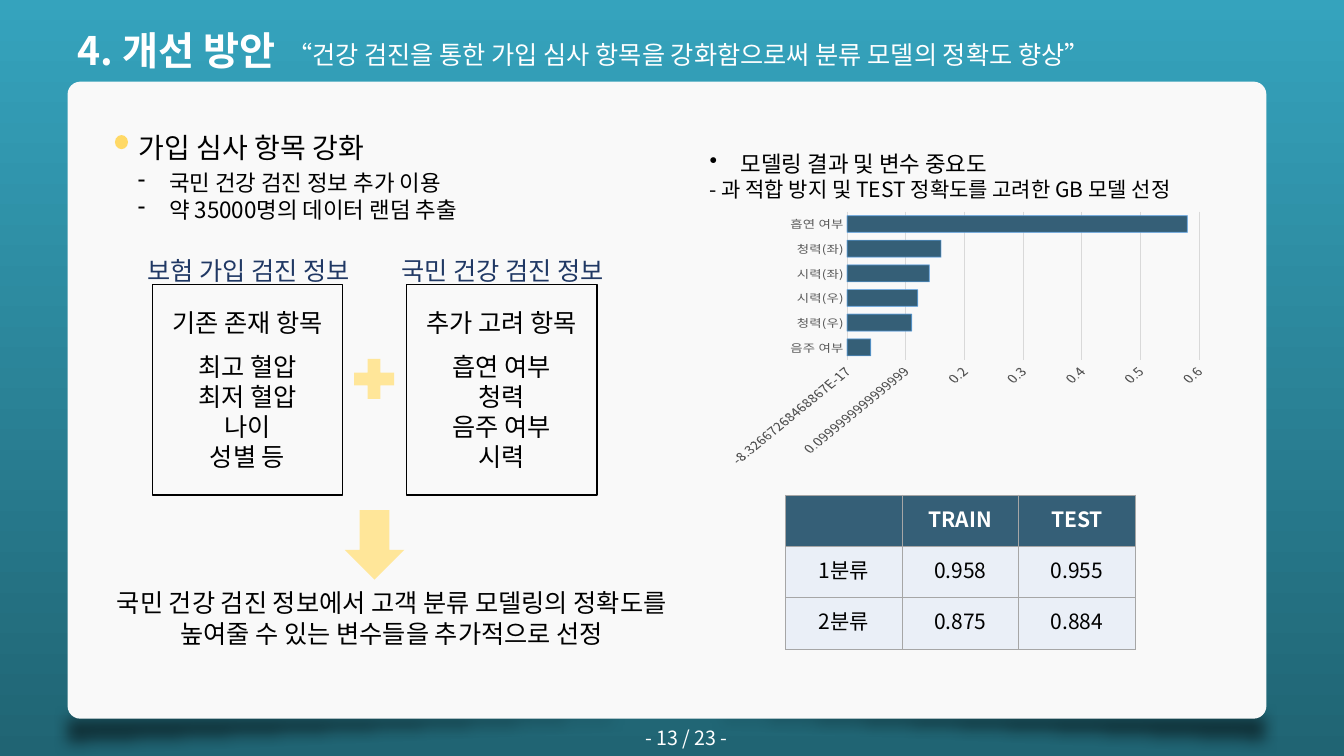
from dataclasses import dataclass
from lxml.etree import SubElement
from pptx import Presentation
from pptx.chart.data import CategoryChartData
from pptx.dml.color import RGBColor
from pptx.enum.chart import XL_CHART_TYPE, XL_TICK_MARK
from pptx.enum.shapes import MSO_SHAPE
from pptx.enum.text import MSO_ANCHOR, PP_ALIGN
from pptx.oxml import parse_xml
from pptx.oxml.ns import nsdecls, qn
from pptx.util import Inches, Pt

FONT = "Noto Sans CJK KR"
NAVY, YELLOW, GRID = "355F77", "FFE699", "D9D9D9"


@dataclass
class Label:
    at: tuple
    lines: list
    size: float = 18
    color: str = "000000"
    bold: bool = False
    center: bool = False
    pad: bool = True
    spacing: float = 1.2


@dataclass
class ItemBox:
    left: float
    caption: str
    heading: str
    items: list


LABELS = [
    Label((0.67, 0.21, 7.52, 0.57), ["4. 개선 방안"], 28, "FFFFFF", bold=True),
    Label((2.75, 0.34, 10.37, 0.4),
          ["“건강 검진을 통한 가입 심사 항목을 강화함으로써 분류 모델의 정확도 향상”"], color="FFFFFF"),
    Label((1.28, 1.08, 4.68, 0.57), ["가입 심사 항목 강화"], 20, spacing=1.8),
    Label((0.95, 5.78, 5.87, 0.71),
          ["국민 건강 검진 정보에서 고객 분류 모델링의 정확도를", "높여줄 수 있는 변수들을 추가적으로 선정"],
          center=True),
    Label((6.18, 7.2, 1.26, 0.24), ["- 13 / 23 -"], 14, "FFFFFF", center=True, pad=False),
]
BOXES = [
    ItemBox(1.51, "보험 가입 검진 정보", "기존 존재 항목", ["최고 혈압", "최저 혈압", "나이", "성별 등"]),
    ItemBox(4.03, "국민 건강 검진 정보", "추가 고려 항목", ["흡연 여부", "청력", "음주 여부", "시력"]),
]
IMPORTANCE = {"음주 여부": 0.04, "청력(우)": 0.11, "시력(우)": 0.12,
              "시력(좌)": 0.14, "청력(좌)": 0.16, "흡연 여부": 0.58}
ACCURACY = [["", "TRAIN", "TEST"], ["1분류", "0.958", "0.955"], ["2분류", "0.875", "0.884"]]


def rgb(color: str) -> RGBColor:
    return RGBColor.from_string(color)


def inches(at: tuple) -> list:
    return [Inches(v) for v in at]


def set_alpha(color_element, percent: int) -> None:
    SubElement(color_element, qn("a:alpha")).set("val", str(percent * 1000))


def write(tf, text: str, *, size=18, color="000000", bold=False, center=False,
          spacing=1.2, before=0, bullet="") -> None:
    """Add one paragraph, using the first one while it is empty."""
    p = tf.paragraphs[0] if not tf.text else tf.add_paragraph()
    p.alignment = PP_ALIGN.CENTER if center else PP_ALIGN.LEFT
    p.line_spacing = Pt(size * spacing)
    p.space_before = Pt(before)
    if bullet:
        pPr = p._p.get_or_add_pPr()
        pPr.set("marL", str(Inches(0.31)))
        pPr.set("indent", str(-Inches(0.31)))
        SubElement(pPr, qn("a:buChar")).set("char", bullet)
    r = p.add_run()
    r.text = text
    r.font.name, r.font.size, r.font.bold = FONT, Pt(size), bold
    r.font.color.rgb = rgb(color)
    SubElement(r._r.get_or_add_rPr(), qn("a:ea")).set("typeface", FONT)


def add_text(s, at: tuple, pad: bool = True):
    tf = s.shapes.add_textbox(*inches(at)).text_frame
    tf.word_wrap = True
    if not pad:
        tf.margin_left = tf.margin_right = tf.margin_top = tf.margin_bottom = 0
    return tf


def add_shape(s, kind, at: tuple, fill: str = "", line: str = ""):
    sp = s.shapes.add_shape(kind, *inches(at))
    sp.shadow.inherit = False
    if fill:
        sp.fill.solid()
        sp.fill.fore_color.rgb = rgb(fill)
    else:
        sp.fill.background()
    if line:
        sp.line.color.rgb = rgb(line)
        sp.line.width = Pt(1)
    else:
        sp.line.fill.background()
    return sp


def add_panel(s) -> None:
    for left, top, flips in ((0.65, 6.98, ("flipH", "flipV")), (0.54, 7, ("flipV",))):
        sp = add_shape(s, MSO_SHAPE.RIGHT_TRIANGLE, (left, top, 12.02, 0.5), "000000")
        spPr = sp._element.spPr
        for flip in flips:
            spPr.find(qn("a:xfrm")).set(flip, "1")
        set_alpha(spPr.find(".//" + qn("a:srgbClr")), 51)
        SubElement(spPr.find(qn("a:effectLst")), qn("a:softEdge")).set("rad", str(Inches(0.14)))
    panel = add_shape(s, MSO_SHAPE.ROUNDED_RECTANGLE, (0.67, 0.81, 11.89, 6.32), "F9F9F9")
    panel.adjustments[0] = 0.02


def add_item_box(s, box: ItemBox) -> None:
    write(add_text(s, (box.left - 0.15, 2.48, 2.59, 0.4)), box.caption, color="203864")
    sp = add_shape(s, MSO_SHAPE.RECTANGLE, (box.left, 2.82, 1.89, 2.09), line="000000")
    tf = sp.text_frame
    tf.vertical_anchor = MSO_ANCHOR.MIDDLE
    write(tf, box.heading, center=True)
    for i, item in enumerate(box.items):
        write(tf, item, center=True, before=0 if i else 9.6)


def add_importance_chart(s) -> None:
    data = CategoryChartData()
    data.categories = list(IMPORTANCE)
    data.add_series("Series 1", list(IMPORTANCE.values()))
    chart = s.shapes.add_chart(XL_CHART_TYPE.BAR_CLUSTERED,
                               *inches((7.2, 1.84, 4.77, 2.8)), data).chart
    chart.has_legend = chart.has_title = False
    chart.font.name, chart.font.size = FONT, Pt(10)
    plot = chart.plots[0]
    plot.gap_width, plot.overlap, plot.vary_by_categories = 46, 100, False
    bars = plot.series[0]
    bars.format.fill.solid()
    bars.format.fill.fore_color.rgb = rgb(NAVY)
    bars.format.line.color.rgb = rgb("5B9BD5")
    bars.format.line.width = Pt(0.75)
    set_alpha(bars._element.find(".//" + qn("a:ln")).find(".//" + qn("a:srgbClr")), 80)
    for axis, size in ((chart.category_axis, 11), (chart.value_axis, 12)):
        axis.major_tick_mark = axis.minor_tick_mark = XL_TICK_MARK.NONE
        font = axis.tick_labels.font
        font.name, font.size, font.color.rgb = FONT, Pt(size), rgb("595959")
    chart.category_axis.format.line.color.rgb = rgb(GRID)
    values = chart.value_axis
    values.maximum_scale, values.major_unit = 0.6, 0.1
    values.format.line.fill.background()
    values.major_gridlines.format.line.color.rgb = rgb(GRID)
    values.major_gridlines.format.line.width = Pt(0.75)
    # Plot area position
    area = chart._chartSpace.chart.plotArea
    for old in area.findall(qn("c:layout")):
        area.remove(old)
    parts = [("layoutTarget", "inner"), ("xMode", "edge"), ("yMode", "edge"),
             ("x", 0.227), ("y", 0.131), ("w", 0.843), ("h", 0.74)]
    inner = "".join(f'<c:{tag} val="{val}"/>' for tag, val in parts)
    area.insert(0, parse_xml(f'<c:layout {nsdecls("c")}><c:manualLayout>{inner}'
                             '</c:manualLayout></c:layout>'))


def add_accuracy_table(s) -> None:
    table = s.shapes.add_table(3, 3, *inches((7.79, 4.91, 3.47, 1.53))).table
    for i, row in enumerate(ACCURACY):
        table.rows[i].height = Inches(0.51)
        for j, text in enumerate(row):
            cell = table.cell(i, j)
            cell.vertical_anchor = MSO_ANCHOR.MIDDLE
            if text:
                write(cell.text_frame, text, size=15, center=True, bold=i == 0,
                      color="000000" if i else "FFFFFF")
            tcPr = cell._tc.get_or_add_tcPr()
            for side in ("lnL", "lnR", "lnT", "lnB"):
                tcPr.append(parse_xml(
                    f'<a:{side} {nsdecls("a")} w="{Pt(0.5)}"><a:solidFill>'
                    f'<a:srgbClr val="A6A6A6"/></a:solidFill></a:{side}>'))
            cell.fill.solid()
            cell.fill.fore_color.rgb = rgb("EAEFF7" if i else NAVY)


def main() -> None:
    prs = Presentation()
    prs.slide_width, prs.slide_height = Inches(13.33), Inches(7.5)
    s = prs.slides.add_slide(prs.slide_layouts[6])

    # Background and panel
    fill = s.background.fill
    fill.gradient()
    fill.gradient_angle = 270
    for stop, color in zip(fill.gradient_stops, ("35A3BD", "206473")):
        stop.color.rgb = rgb(color)
    add_panel(s)

    # Headings, conclusion and page number
    for label in LABELS:
        tf = add_text(s, label.at, label.pad)
        for line in label.lines:
            write(tf, line, size=label.size, color=label.color, bold=label.bold,
                  center=label.center, spacing=label.spacing)

    # Left side: screening items
    add_shape(s, MSO_SHAPE.OVAL, (1.14, 1.34, 0.13, 0.14), "FFD966")
    tf = add_text(s, (1.27, 1.63, 3.4, 0.64))
    for line in ("국민 건강 검진 정보 추가 이용", "약 35000명의 데이터 랜덤 추출"):
        write(tf, line, size=16, bullet="-")
    for box in BOXES:
        add_item_box(s, box)
    add_shape(s, MSO_SHAPE.MATH_PLUS, (3.44, 3.49, 0.54, 0.54), YELLOW)
    add_shape(s, MSO_SHAPE.DOWN_ARROW, (3.42, 5.06, 0.59, 0.69), YELLOW)

    # Right side: modelling results
    tf = add_text(s, (6.94, 1.44, 4.88, 0.62))
    write(tf, "모델링 결과 및 변수 중요도", size=16, bullet="•")
    write(tf, "- 과 적합 방지 및 TEST 정확도를 고려한 GB 모델 선정", size=15)
    add_importance_chart(s)
    add_accuracy_table(s)
    prs.save("out.pptx")


if __name__ == "__main__":
    main()
